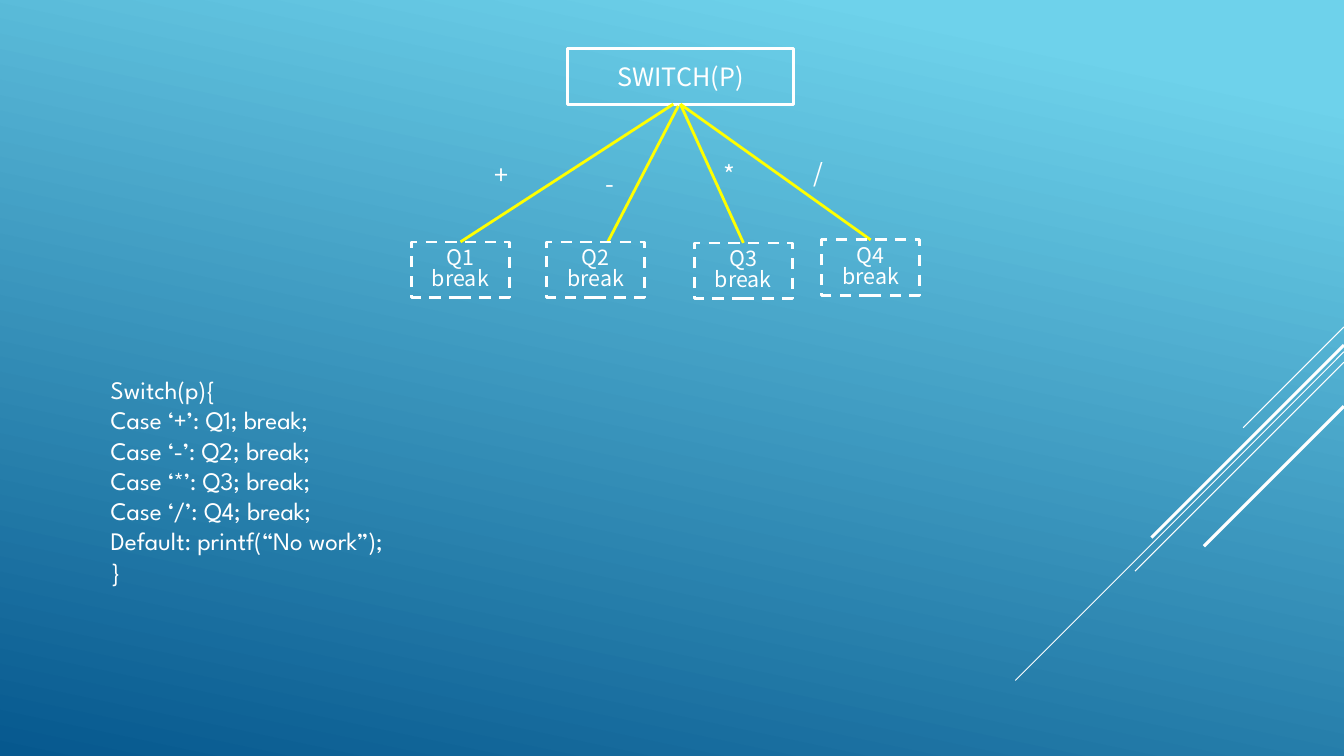
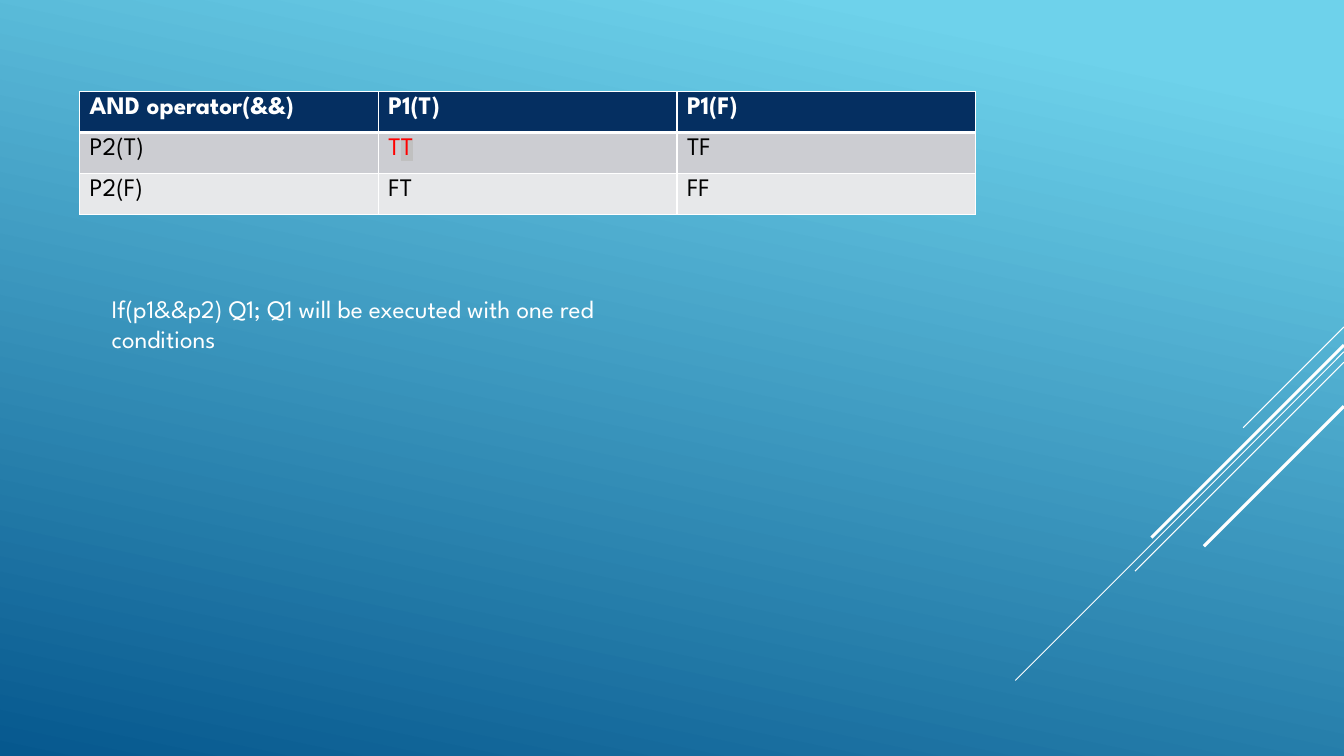
from lxml import etree
from pptx import Presentation
from pptx.dml.color import RGBColor
from pptx.enum.dml import MSO_LINE_DASH_STYLE
from pptx.enum.shapes import MSO_CONNECTOR, MSO_SHAPE
from pptx.enum.text import MSO_ANCHOR, PP_ALIGN
from pptx.oxml.ns import qn
from pptx.util import Emu, Inches, Pt

WHITE = RGBColor(0xFF, 0xFF, 0xFF)
BLACK = RGBColor(0x00, 0x00, 0x00)
RED = RGBColor(0xFF, 0x00, 0x00)
YELLOW = RGBColor(0xFF, 0xFF, 0x00)
SILVER = RGBColor(0xC0, 0xC0, 0xC0)
NAVY = RGBColor(0x05, 0x2F, 0x61)
SKY = RGBColor(0x6E, 0xD2, 0xEB)
OCEAN = RGBColor(0x06, 0x58, 0x8E)
ROW_FILLS = [NAVY, RGBColor(0xCC, 0xCD, 0xD2), RGBColor(0xE7, 0xE8, 0xEA)]

BODY_FONT = "League Spartan"
DIAGRAM_FONT = "Noto Sans CJK SC"
STRAIGHT = MSO_CONNECTOR.STRAIGHT
RECTANGLE = MSO_SHAPE.RECTANGLE
DASH = MSO_LINE_DASH_STYLE.DASH
CENTER = PP_ALIGN.CENTER
MIDDLE = MSO_ANCHOR.MIDDLE

COLUMNS, ROWS = 80, 45
SLIDE_WIDTH, SLIDE_HEIGHT = Inches(13.333), Inches(7.5)
BLANK_LAYOUT = 6

STREAKS = [(19.46, 6, 0.75), (20.94, 19.56, 0.75), (21.56, 12.44, 0.75),
           (20.54, 11.46, 2.25), (24.18, 8.34, 2.25)]

NODE_HEIGHT = 3.3
ROOT_WIDTH, LEAF_WIDTH, SIGN_WIDTH = 13.44, 5.82, 9.6
ROOT_CENTER = 16
# sign, sign center, sign top, leaf center, leaf top, start shift, end shift
BRANCHES = [
    ("+", 5.38, 5.86, 2.91, 11.5, (-0.42, 0), 0),
    ("-", 11.8, 6.34, 10.95, 11.5, (-0.12, 0.1), 0.73),
    ("*", 18.94, 5.86, 19.75, 11.56, (0, 0), 0),
    ("/", 24.22, 5.74, 27.33, 11.38, (0, 0), 0),
]
SWITCH_CODE = ["Switch(p){", "Case ‘+’: Q1; break;", "Case ‘-’: Q2; break;",
               "Case ‘*’: Q3; break;", "Case ‘/’: Q4; break;",
               "Default: printf(“No work”);", "}"]
AND_TABLE = [["AND operator(&&)", "P1(T)", "P1(F)"],
             ["P2(T)", "TT", "TF"],
             ["P2(F)", "FT", "FF"]]
AND_NOTE = ["If(p1&&p2) Q1; Q1 will be executed with one red conditions"]


def across(columns):
    """Return the length of a number of grid columns."""
    return Emu(round(columns * SLIDE_WIDTH / COLUMNS))


def down(rows):
    """Return the length of a number of grid rows."""
    return Emu(round(rows * SLIDE_HEIGHT / ROWS))


def place(box):
    """Turn a grid box into left, top, width and height."""
    left, top, width, height = box
    return across(left), down(top), across(width), down(height)


def format_run(run, font, size, color, bold=False):
    """Set the font, size, colour and weight of a run."""
    run.font.name = font
    run.font.size = Pt(size)
    run.font.color.rgb = color
    run.font.bold = bold


def write_lines(text_frame, lines, font, size, spacing=None):
    """Write one white paragraph for each line."""
    text_frame.word_wrap = True
    text_frame.text = "\n".join(lines)
    for paragraph in text_frame.paragraphs:
        paragraph.line_spacing = spacing
        for run in paragraph.runs:
            format_run(run, font, size, WHITE)


def center_text(text_frame):
    """Centre the text both ways."""
    text_frame.vertical_anchor = MIDDLE
    for paragraph in text_frame.paragraphs:
        paragraph.alignment = CENTER


def add_line(shapes, start, end, color, width):
    """Draw a straight line between two grid points."""
    line = shapes.add_connector(STRAIGHT, across(start[0]), down(start[1]),
                                across(end[0]), down(end[1]))
    line.line.color.rgb = color
    line.line.width = Pt(width)
    properties = line._element.find(qn("p:spPr"))
    etree.SubElement(properties, qn("a:effectLst"))


def add_node(slide, box, lines, size, spacing=None, dash=None):
    """Draw an outlined box with centred text."""
    node = slide.shapes.add_shape(RECTANGLE, *place(box))
    node.shadow.inherit = False
    node.fill.background()
    node.line.color.rgb = WHITE
    node.line.width = Pt(2)
    if dash:
        node.line.dash_style = dash
    write_lines(node.text_frame, lines, DIAGRAM_FONT, size, spacing)
    center_text(node.text_frame)


def add_text(slide, box, lines, font=BODY_FONT):
    """Add a text box and return its text frame."""
    text_frame = slide.shapes.add_textbox(*place(box)).text_frame
    write_lines(text_frame, lines, font, 18)
    return text_frame


def add_switch_tree(slide, box):
    """Draw the switch node with its labelled branches."""
    left, top = box[:2]
    center, root_bottom = left + ROOT_CENTER, top + NODE_HEIGHT
    add_node(slide, (center - ROOT_WIDTH / 2, top, ROOT_WIDTH, NODE_HEIGHT),
             ["SWITCH(P)"], 18)
    for number, branch in enumerate(BRANCHES, 1):
        sign, sign_x, sign_y, leaf_x, leaf_y, start_shift, end_shift = branch
        start = (center + start_shift[0], root_bottom + start_shift[1])
        end = (left + leaf_x + end_shift, top + leaf_y)
        add_line(slide.shapes, start, end, YELLOW, 2)
        add_node(slide, (left + leaf_x - LEAF_WIDTH / 2, top + leaf_y,
                         LEAF_WIDTH, NODE_HEIGHT),
                 [f"Q{number}", "break"], 15.3, 0.8, DASH)
        sign_box = (left + sign_x - SIGN_WIDTH / 2, top + sign_y,
                    SIGN_WIDTH, NODE_HEIGHT)
        center_text(add_text(slide, sign_box, [sign], DIAGRAM_FONT))


def set_borders(cell, widths):
    """Give a cell white borders of the given widths by side."""
    properties = cell._tc.get_or_add_tcPr()
    for index, (side, width) in enumerate(widths.items()):
        border = etree.Element(qn(f"a:ln{side}"), w=str(Pt(width)))
        fill = etree.SubElement(border, qn("a:solidFill"))
        etree.SubElement(fill, qn("a:srgbClr"), val=str(WHITE))
        properties.insert(index, border)


def highlight(run, color):
    """Put a marker colour behind a run."""
    mark = etree.Element(qn("a:highlight"))
    etree.SubElement(mark, qn("a:srgbClr"), val=str(color))
    run._r.get_or_add_rPr().find(qn("a:solidFill")).addnext(mark)


def add_truth_table(slide, box, values):
    """Draw the truth table with its true case in red."""
    row_count, column_count = len(values), len(values[0])
    table = slide.shapes.add_table(row_count, column_count, *place(box)).table
    for row, texts in enumerate(values):
        header = row == 0
        widths = {"L": 1, "R": 1, "T": 3 if row == 1 else 1, "B": 3 if header else 1}
        for column, text in enumerate(texts):
            cell = table.cell(row, column)
            cell.fill.solid()
            cell.fill.fore_color.rgb = ROW_FILLS[row]
            set_borders(cell, widths)
            paragraph = cell.text_frame.paragraphs[0]
            true_case = text == "TT"
            color = WHITE if header else RED if true_case else BLACK
            for part in text if true_case else [text]:
                run = paragraph.add_run()
                run.text = part
                format_run(run, BODY_FONT, 18, color, header)
            if true_case:
                highlight(paragraph.runs[-1], SILVER)


def set_background(master):
    """Give every slide the blue gradient."""
    fill = master.background.fill
    fill.gradient()
    fill.gradient_angle = 258
    for stop, position, color in zip(fill.gradient_stops, (0.1, 1), (SKY, OCEAN)):
        stop.position = position
        stop.color.rgb = color


def add_slide(presentation):
    """Add a slide with the diagonal streaks at the right edge."""
    slide = presentation.slides.add_slide(presentation.slide_layouts[BLANK_LAYOUT])
    streaks = slide.shapes.add_group_shape()
    for top, length, width in STREAKS:
        add_line(streaks.shapes, (COLUMNS, top),
                 (COLUMNS - length, top + length), WHITE, width)
    return slide


def build_switch_slide(presentation):
    """Build the slide on the switch statement."""
    slide = add_slide(presentation)
    add_switch_tree(slide, (24.5, 2.9, 30.24, 14.86))
    add_text(slide, (6, 22, 25.56, 13.3), SWITCH_CODE)


def build_and_slide(presentation):
    """Build the slide on the AND operator."""
    slide = add_slide(presentation)
    add_truth_table(slide, (4.74, 5.46, 53.34, 7.3), AND_TABLE)
    add_text(slide, (6.06, 17.16, 31.2, 4.26), AND_NOTE)


def main():
    """Build and save the presentation."""
    presentation = Presentation()
    presentation.slide_width, presentation.slide_height = SLIDE_WIDTH, SLIDE_HEIGHT
    set_background(presentation.slide_master)
    build_switch_slide(presentation)
    build_and_slide(presentation)
    presentation.save("out.pptx")


main()
